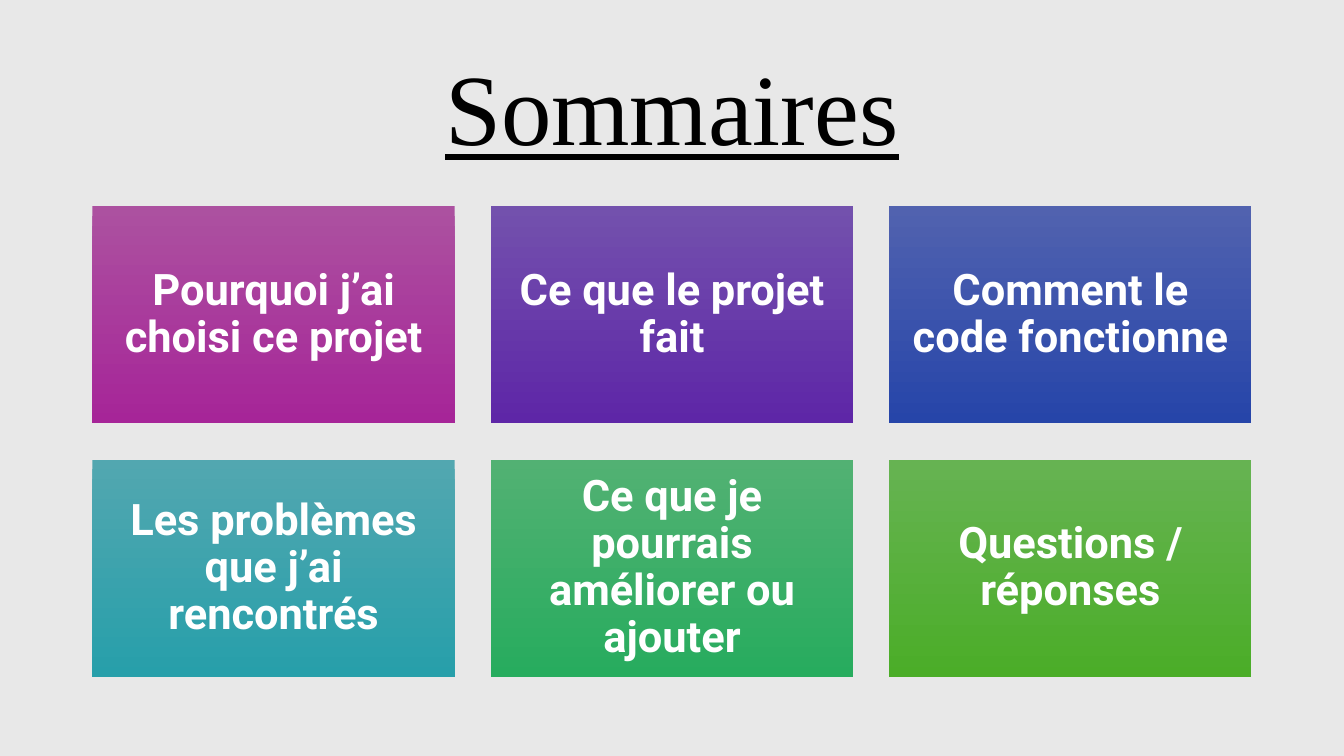
import pptx
import pptx.util
import pptx.dml.color
import pptx.enum.shapes
import pptx.enum.text

Cm = pptx.util.Cm
Pt = pptx.util.Pt


def color(code):
    return pptx.dml.color.RGBColor.from_string(code)


def write(shape, text, size, face, code):
    frame = shape.text_frame
    frame.word_wrap = True
    frame.vertical_anchor = pptx.enum.text.MSO_ANCHOR.MIDDLE
    para = frame.paragraphs[0]
    para.alignment = pptx.enum.text.PP_ALIGN.CENTER
    para.line_spacing = 0.9
    run = para.add_run()
    run.text = text
    run.font.size = Pt(size)
    run.font.name = face
    run.font.color.rgb = color(code)
    return para, run


deck = pptx.Presentation()
deck.slide_width = Cm(33.87)
deck.slide_height = Cm(19.05)
slide = deck.slides.add_slide(deck.slide_layouts[6])
slide.background.fill.solid()
slide.background.fill.fore_color.rgb = color("E8E8E8")

title = slide.shapes.add_textbox(Cm(2.33), Cm(1.01), Cm(29.21), Cm(3.68))
para, run = write(title, "Sommaires", 72, "Times New Roman", "000000")
run.font.underline = True

topics = [
    ("Pourquoi j’ai choisi ce projet", "AC51A0", "A62598"),
    ("Ce que le projet fait", "7351AD", "5E26A7"),
    ("Comment le code fonctionne", "5162AF", "2645A9"),
    ("Les problèmes que j’ai rencontrés", "52A7B0", "279FAA"),
    ("Ce que je pourrais améliorer ou ajouter", "52B173", "27AC5E"),
    ("Questions / réponses", "66B352", "4BAD28"),
]
width, height, gap = 9.13, 5.48, 0.91

for index, (text, light, dark) in enumerate(topics):
    row, col = divmod(index, 3)
    tile = slide.shapes.add_shape(
        pptx.enum.shapes.MSO_SHAPE.RECTANGLE,
        Cm(2.33 + col * (width + gap)), Cm(5.19 + row * (height + gap)),
        Cm(width), Cm(height))
    tile.shadow.inherit = False
    tile.line.fill.background()
    tile.fill.gradient()
    tile.fill.gradient_angle = 270
    for stop, code in zip(tile.fill.gradient_stops, (light, dark)):
        stop.color.rgb = color(code)
    frame = tile.text_frame
    frame.margin_left = frame.margin_right = Cm(0.33)
    frame.margin_top = frame.margin_bottom = Cm(0.33)
    para, run = write(tile, text, 31, "Roboto", "FFFFFF")
    para.space_after = Pt(13)
    run.font.bold = True

deck.save("out.pptx")
